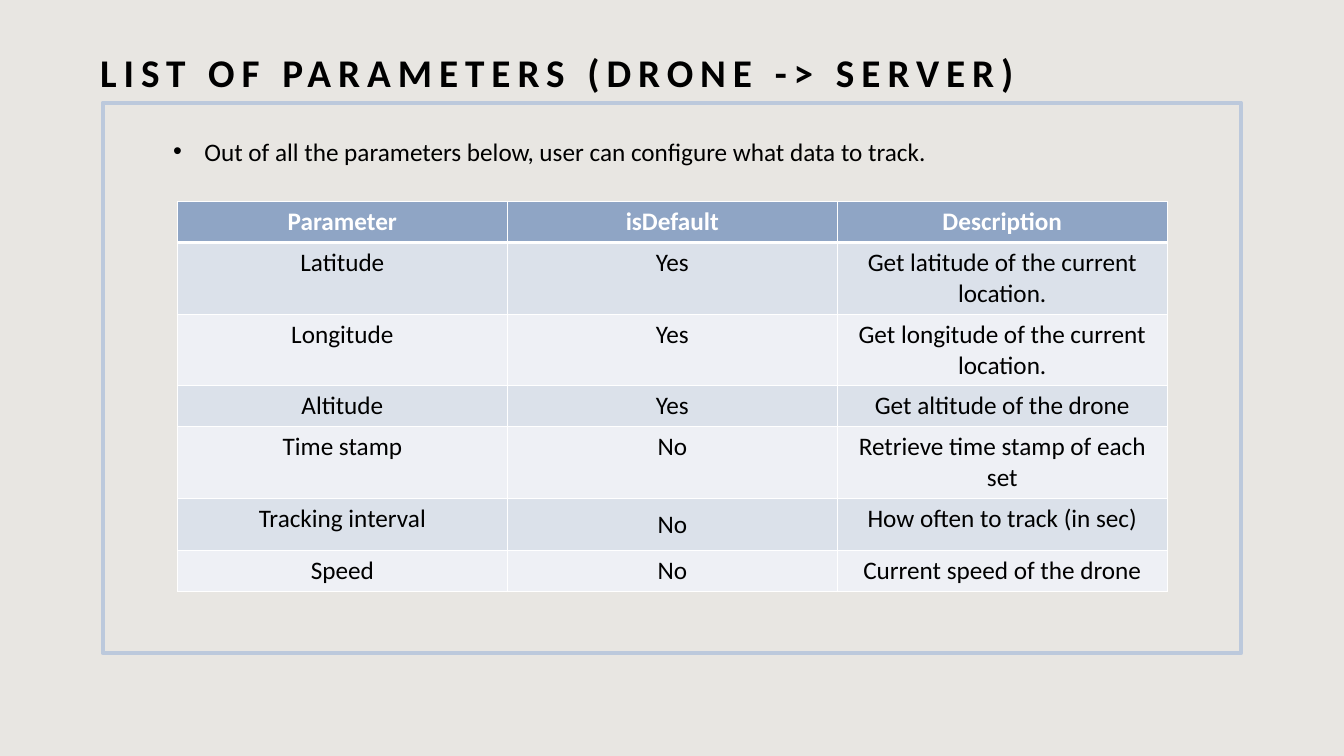
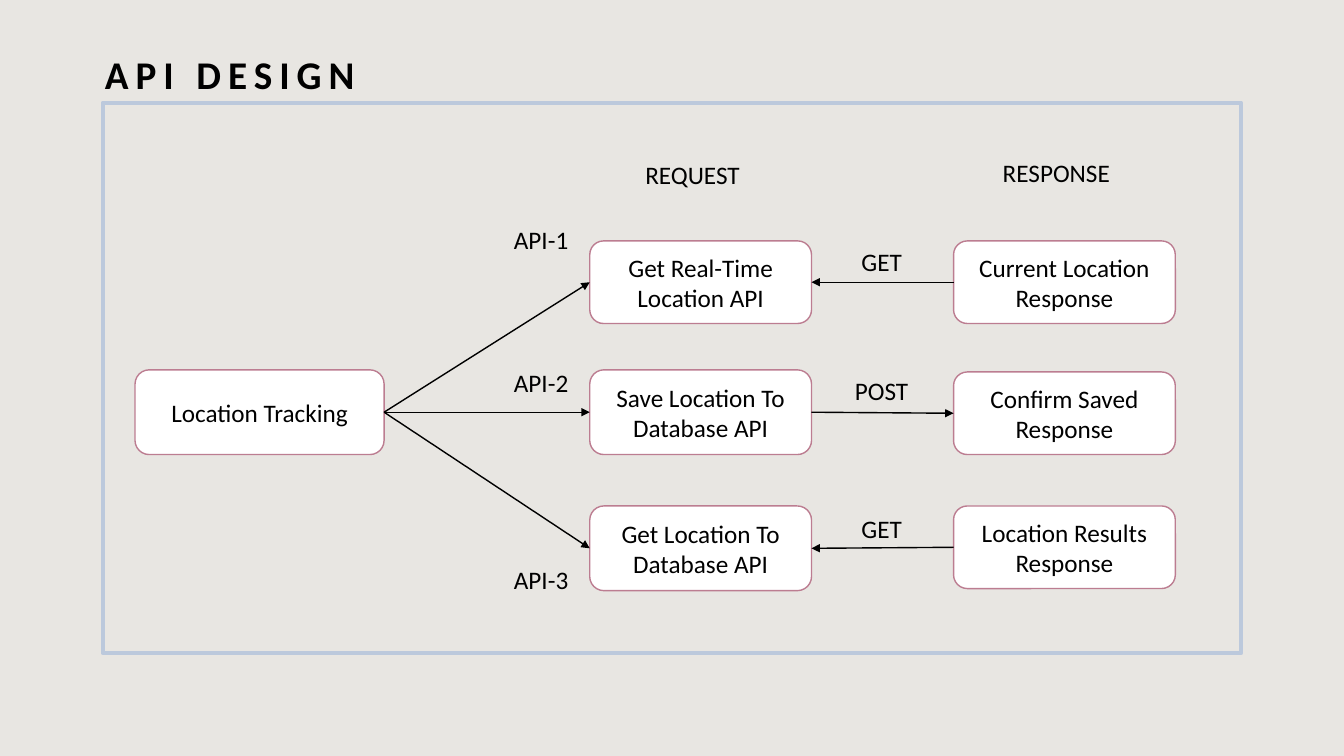
from dataclasses import dataclass

import pptx
import pptx.dml.color
import pptx.enum.shapes
import pptx.enum.text
import pptx.oxml
import pptx.oxml.ns
import pptx.util
from lxml import etree

HUES = {
    "ground": "E8E6E2", "frame": "BCC9DC", "ink": "000000", "white": "FFFFFF",
    "head": "8FA5C5", "odd": "DBE1EA", "even": "EEF0F5", "edge": "BC7D91",
}
FONT = "Calibri"
WIDE, HIGH = pptx.util.Inches(13.33), pptx.util.Inches(7.5)
SHAPE = pptx.enum.shapes.MSO_SHAPE
ALIGN = pptx.enum.text.PP_ALIGN
ANCHOR = pptx.enum.text.MSO_ANCHOR
LEFT, RIGHT = 1, 3  # connection sites


@dataclass(frozen=True)
class Box:
    """Place and size in percent of the slide's width and height."""
    left: float
    top: float
    width: float
    height: float

    def emu(self) -> tuple[int, int, int, int]:
        return (x_emu(self.left), y_emu(self.top),
                x_emu(self.width), y_emu(self.height))


@dataclass(frozen=True)
class Label:
    text: str
    box: Box
    align: ALIGN = ALIGN.CENTER


@dataclass(frozen=True)
class Route:
    """One row of the diagram: a request, its verb and its response."""
    name: str
    name_top: float
    ask: str
    ask_top: float
    ask_high: float
    verb: str
    verb_top: float
    reply: str
    reply_top: float
    pulls: bool


FRAME = Box(7.65, 13.6, 84.7, 72.8)
NOTE = Label("Out of all the parameters below, user can configure what data to track.",
             Box(12.15, 17.33, 62.65, 5.33), ALIGN.LEFT)
GRID_LEFT, GRID_TOP, GRID_COL = 13.2, 26.67, 24.55
ROW, TALL_ROW = 5.42, 6.93
ROWS = [
    ("Parameter", "isDefault", "Description"),
    ("Latitude", "Yes", "Get latitude of the current location."),
    ("Longitude", "Yes", "Get longitude of the current location."),
    ("Altitude", "Yes", "Get altitude of the drone"),
    ("Time stamp", "No", "Retrieve time stamp of each set"),
    ("Tracking interval", "No", "How often to track (in sec)"),
    ("Speed", "No", "Current speed of the drone"),
]
TALL = 5
MIDDLE = {(5, 1), (6, 1)}

ASK_LEFT, REPLY_LEFT, NODE_WIDE = 43.88, 70.95, 16.5
NAME_LEFT, NAME_WIDE = 37.5, 6.38
VERB_LEFT, VERB_WIDE = 61.73, 7.73
NODE_HIGH, LINE_HIGH = 10.93, 5.33
ROOT = Label("Location Tracking", Box(10.05, 48.93, 18.53, 11.2))
HEADS = [
    Label("REQUEST", Box(ASK_LEFT, 20.4, 15.3, LINE_HIGH)),
    Label("RESPONSE", Box(REPLY_LEFT, 20.13, 15.3, LINE_HIGH)),
]
ROUTES = [
    Route("API-1", 29.07, "Get Real-Time Location API", 31.87, 10.93,
          "GET", 31.87, "Current Location Response", 31.87, True),
    Route("API-2", 47.87, "Save Location To Database API", 48.93, 11.2,
          "POST", 48.93, "Confirm Saved Response", 49.2, False),
    Route("API-3", 74, "Get Location To Database API", 66.93, 11.2,
          "GET", 67.2, "Location Results Response", 66.93, True),
]


def x_emu(share: float) -> int:
    return round(WIDE * share / 100)


def y_emu(share: float) -> int:
    return round(HIGH * share / 100)


def hue(name: str) -> pptx.dml.color.RGBColor:
    return pptx.dml.color.RGBColor.from_string(HUES[name])


def paint(fill, name: str) -> None:
    fill.solid()
    fill.fore_color.rgb = hue(name)


def write(frame, text: str, align: ALIGN, size: float = 18,
          ink: str = "ink", bold: bool = False):
    """Fill a text frame with one styled paragraph and return it."""
    frame.text = text
    para = frame.paragraphs[0]
    para.alignment = align
    font = para.runs[0].font
    font.name, font.size, font.bold = FONT, pptx.util.Pt(size), bold
    font.color.rgb = hue(ink)
    return para


def start(deck, title: str, left: float, top: float):
    """Add a slide with the shared frame and title."""
    slide = deck.slides.add_slide(deck.slide_layouts[5])
    rim = slide.shapes.add_shape(SHAPE.RECTANGLE, *FRAME.emu())
    rim.shadow.inherit = False
    rim.fill.background()
    rim.line.color.rgb = hue("frame")
    rim.line.width = pptx.util.Pt(3)
    head = slide.shapes.title
    head.left, head.top, head.width, head.height = Box(left, top, 73.65, 15.6).emu()
    frame = head.text_frame
    frame.auto_size = pptx.enum.text.MSO_AUTO_SIZE.NONE
    frame.word_wrap = True
    frame.vertical_anchor = ANCHOR.BOTTOM
    para = write(frame, title, ALIGN.LEFT, 28, bold=True)
    para.line_spacing = 1.2
    para.runs[0].font._element.set("spc", "500")
    return slide


def add_text(slide, label: Label):
    frame = slide.shapes.add_textbox(*label.box.emu()).text_frame
    frame.word_wrap = True
    return write(frame, label.text, label.align)


def add_node(slide, label: Label):
    node = slide.shapes.add_shape(SHAPE.ROUNDED_RECTANGLE, *label.box.emu())
    node.shadow.inherit = False
    paint(node.fill, "white")
    node.line.color.rgb = hue("edge")
    node.line.width = pptx.util.Pt(1)
    node.text_frame.word_wrap = True
    node.text_frame.vertical_anchor = ANCHOR.MIDDLE
    write(node.text_frame, label.text, label.align)
    return node


def add_arrow(slide, tail, tail_site: int, tip, tip_site: int) -> None:
    wire = slide.shapes.add_connector(
        pptx.enum.shapes.MSO_CONNECTOR.STRAIGHT, 0, 0, 0, 0)
    wire.begin_connect(tail, tail_site)
    wire.end_connect(tip, tip_site)
    wire.line.color.rgb = hue("ink")
    wire.line.width = pptx.util.Pt(1)
    etree.SubElement(wire.line._get_or_add_ln(),
                     pptx.oxml.ns.qn("a:tailEnd"), type="triangle")
    etree.SubElement(wire._element.spPr, pptx.oxml.ns.qn("a:effectLst"))


def add_rules(cell, base: float) -> None:
    """Give a cell white borders, with its own width at the base."""
    props = cell._tc.get_or_add_tcPr()
    for side, width in (("L", 1), ("R", 1), ("T", 1), ("B", base)):
        props.append(pptx.oxml.parse_xml(
            f'<a:ln{side} {pptx.oxml.ns.nsdecls("a")} w="{pptx.util.Pt(width)}">'
            f'<a:solidFill><a:srgbClr val="{HUES["white"]}"/></a:solidFill>'
            f'</a:ln{side}>'))


def add_grid(slide) -> None:
    highs = [TALL_ROW if i == TALL else ROW for i in range(len(ROWS))]
    box = Box(GRID_LEFT, GRID_TOP, GRID_COL * len(ROWS[0]), sum(highs))
    grid = slide.shapes.add_table(len(ROWS), len(ROWS[0]), *box.emu()).table
    for col in grid.columns:
        col.width = x_emu(GRID_COL)
    for i, texts in enumerate(ROWS):
        grid.rows[i].height = y_emu(highs[i])
        top = i == 0
        for j, text in enumerate(texts):
            cell = grid.cell(i, j)
            add_rules(cell, 3 if top else 1)
            paint(cell.fill, "head" if top else "odd" if i % 2 else "even")
            if (i, j) in MIDDLE:
                cell.vertical_anchor = ANCHOR.MIDDLE
            write(cell.text_frame, text, ALIGN.CENTER,
                  ink="white" if top else "ink", bold=top)


def add_list(deck) -> None:
    slide = start(deck, "LIST OF PARAMETERS (DRONE -> SERVER)", 6.7, -2.3)
    add_grid(slide)
    props = add_text(slide, NOTE)._p.get_or_add_pPr()
    dent = pptx.util.Inches(0.31)
    props.set("marL", str(dent))
    props.set("indent", str(-dent))
    etree.SubElement(props, pptx.oxml.ns.qn("a:buFont"), typeface="Arial")
    etree.SubElement(props, pptx.oxml.ns.qn("a:buChar"), char="•")


def add_flow(deck) -> None:
    slide = start(deck, "API DESIGN", 7.05, -2)
    root = add_node(slide, ROOT)
    for head in HEADS:
        add_text(slide, head)
    for way in ROUTES:
        ask = add_node(slide, Label(
            way.ask, Box(ASK_LEFT, way.ask_top, NODE_WIDE, way.ask_high)))
        reply = add_node(slide, Label(
            way.reply, Box(REPLY_LEFT, way.reply_top, NODE_WIDE, NODE_HIGH)))
        add_arrow(slide, root, RIGHT, ask, LEFT)
        if way.pulls:
            add_arrow(slide, reply, LEFT, ask, RIGHT)
        else:
            add_arrow(slide, ask, RIGHT, reply, LEFT)
        add_text(slide, Label(
            way.verb, Box(VERB_LEFT, way.verb_top, VERB_WIDE, LINE_HIGH)))
        add_text(slide, Label(
            way.name, Box(NAME_LEFT, way.name_top, NAME_WIDE, LINE_HIGH), ALIGN.LEFT))


def main() -> None:
    deck = pptx.Presentation()
    deck.slide_width, deck.slide_height = WIDE, HIGH
    paint(deck.slide_master.background.fill, "ground")
    add_list(deck)
    add_flow(deck)
    deck.save("out.pptx")


if __name__ == "__main__":
    main()
